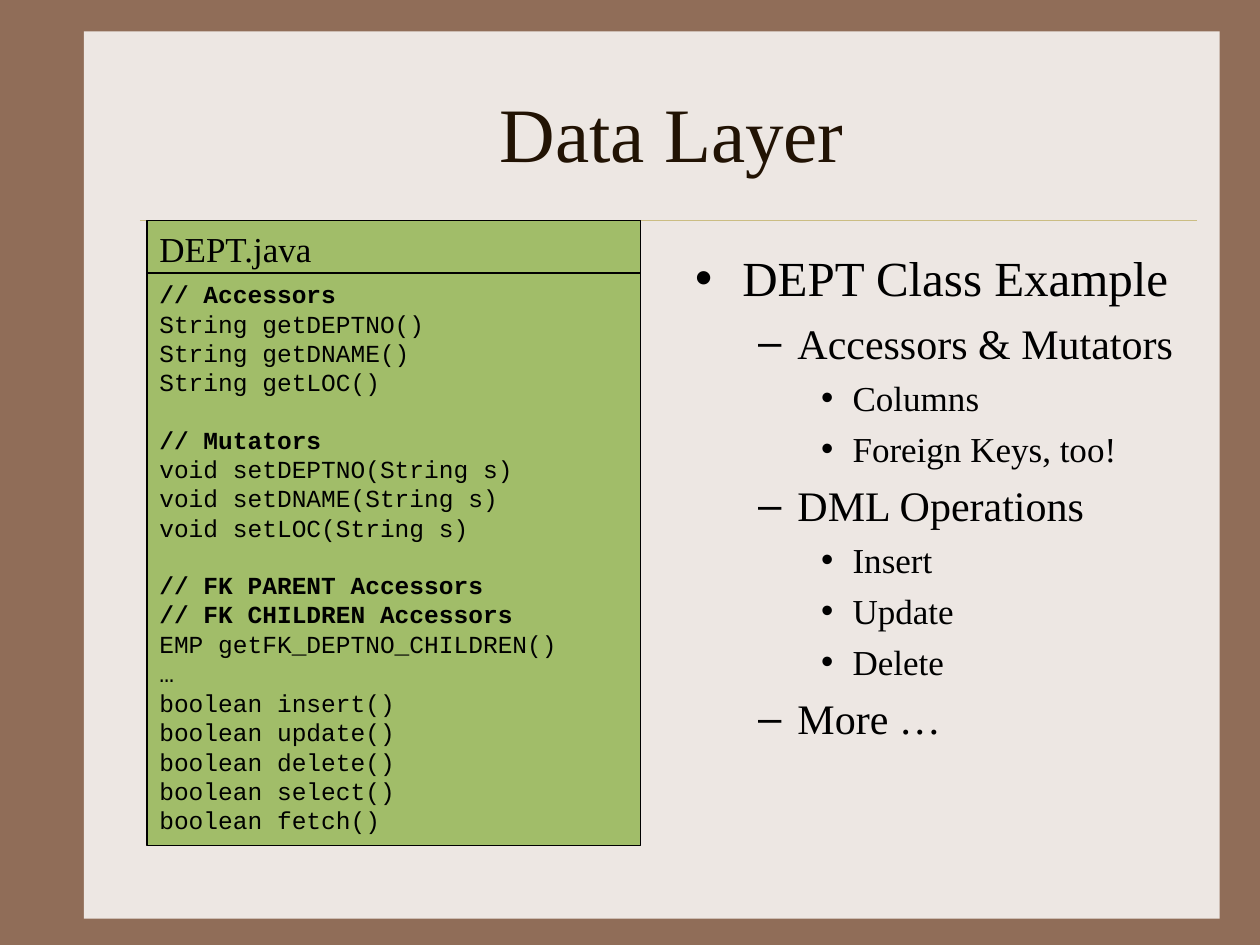
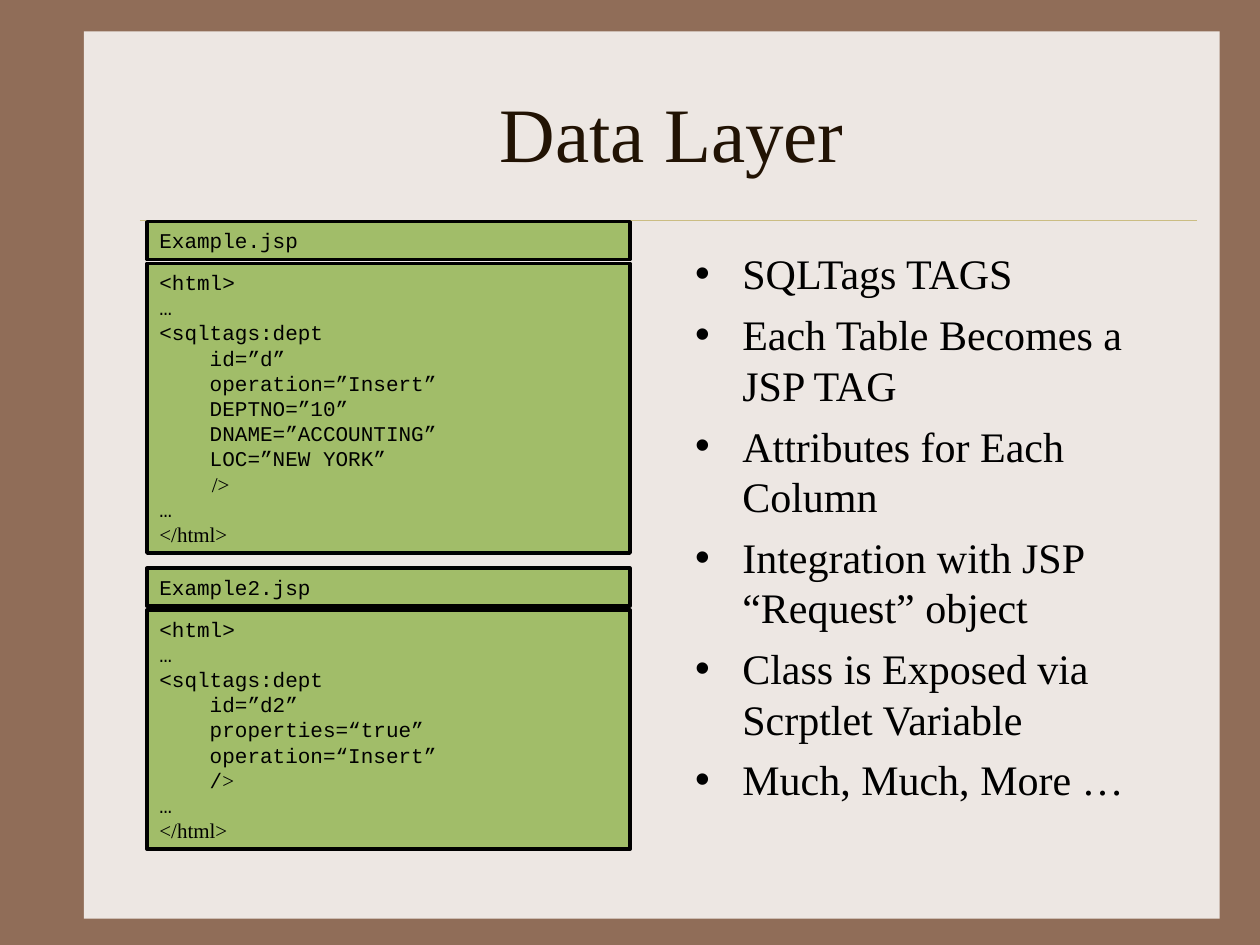
from lxml import etree
from pptx import Presentation
from pptx.dml.color import RGBColor
from pptx.enum import shapes, text
from pptx.oxml.ns import qn
from pptx.util import Pt

FRAME, PANEL, RULE = "906D58", "EDE7E3", "CBBD83"
TITLE_INK, INK, CODE_FILL = "221304", "000000", "A1BD69"
SERIF, MONO = "Times New Roman", "Courier New"
CODE_LEFT = 84
MONO_LINE = 1.133  # line height of the code font, in ems

# Per outline level: bullet, left margin, hanging indent
LEVELS = [("•", 27, 27), ("–", 58.5, 22.5), ("•", 90, 18)]

# In code, a blank line opens a gap, and text after "|" is set in the serif font.
DEPT_CODE = """// Accessors
String getDEPTNO()
String getDNAME()
String getLOC()

// Mutators
void setDEPTNO(String s)
void setDNAME(String s)
void setLOC(String s)

// FK PARENT Accessors
// FK CHILDREN Accessors
EMP getFK_DEPTNO_CHILDREN()
…
boolean insert()
boolean update()
boolean delete()
boolean select()
boolean fetch()"""

INSERT_TAG = """<html>
…
<sqltags:dept
    id=”d”
    operation=”Insert”
    DEPTNO=”10”
    DNAME=”ACCOUNTING”
    LOC=”NEW YORK”
|          />
…
|</html>"""

PROPERTIES_TAG = """<html>
…
<sqltags:dept
    id=”d2”
    properties=“true”
    operation=“Insert”
    /|>
…
|</html>"""

DEPT_POINTS = [
    (0, "DEPT Class Example"),
    (1, "Accessors & Mutators"),
    (2, "Columns"),
    (2, "Foreign Keys, too!"),
    (1, "DML Operations"),
    (2, "Insert"),
    (2, "Update"),
    (2, "Delete"),
    (1, "More …"),
]

TAG_POINTS = [(0, point) for point in (
    "SQLTags TAGS",
    "Each Table Becomes a JSP TAG",
    "Attributes for Each Column",
    "Integration with JSP “Request” object",
    "Class is Exposed via Scrptlet Variable",
    "Much, Much, More …",
)]


def rgb(hex_code):
    return RGBColor.from_string(hex_code)


def set_font(font, name, size, color=INK):
    font.name, font.size = name, Pt(size)
    font.color.rgb = rgb(color)


def place(shape, left, top, width, height):
    shape.left, shape.top = Pt(left), Pt(top)
    shape.width, shape.height = Pt(width), Pt(height)


def add_box(slide, kind, left, top, width, height, fill, line_width=None):
    box = slide.shapes.add_shape(kind, Pt(left), Pt(top), Pt(width), Pt(height))
    box.shadow.inherit = False
    box.fill.solid()
    box.fill.fore_color.rgb = rgb(fill)
    if line_width is None:
        box.line.fill.background()
    else:
        box.line.color.rgb = rgb(INK)
        box.line.width = Pt(line_width)
    return box


def add_shared_frame(layout, slide):
    """Draw the panel and the title rule, then move them to the layout."""
    layout.background.fill.solid()
    layout.background.fill.fore_color.rgb = rgb(FRAME)
    panel = add_box(slide, shapes.MSO_SHAPE.RECTANGLE, 48, 18, 649, 507, PANEL)
    rule = slide.shapes.add_connector(
        shapes.MSO_CONNECTOR.STRAIGHT, Pt(80), Pt(126), Pt(684), Pt(126))
    rule.line.color.rgb = rgb(RULE)
    rule.line.width = Pt(0.25)
    etree.SubElement(rule._element.spPr, qn("a:effectLst"))
    for order, part in enumerate((panel, rule)):
        part._element.xpath(".//p:cNvPr")[0].set("id", str(50 + order))
        layout.shapes._spTree.insert(2 + order, part._element)


def fill_title(slide, wording):
    title = slide.shapes.title
    place(title, 84, 30, 600, 90)
    frame = title.text_frame
    frame.text = wording
    frame.auto_size = text.MSO_AUTO_SIZE.NONE
    frame.vertical_anchor = text.MSO_ANCHOR.MIDDLE
    heading = frame.paragraphs[0]
    heading.alignment = text.PP_ALIGN.CENTER
    set_font(heading.font, SERIF, 44, TITLE_INK)


def set_bullet(paragraph, level):
    mark, margin, hanging = LEVELS[level]
    paragraph.level = level
    props = paragraph._p.get_or_add_pPr()
    props.set("marL", str(Pt(margin)))
    props.set("indent", str(-Pt(hanging)))
    color = etree.SubElement(props, qn("a:buClr"))
    etree.SubElement(color, qn("a:srgbClr"), val=INK)
    etree.SubElement(props, qn("a:buChar"), char=mark)


def fill_points(slide, points, sizes):
    """Fill the body with (level, wording) points; sizes go by level."""
    body = slide.placeholders[1]
    place(body, 390, 138, 294, 324)
    frame = body.text_frame
    frame.auto_size = text.MSO_AUTO_SIZE.NONE
    frame.text = "\n".join(wording for _, wording in points)
    for i, (level, _) in enumerate(points):
        paragraph = frame.paragraphs[i]
        set_bullet(paragraph, level)
        paragraph.space_before = Pt(sizes[level] // 4 if i else 0)
        set_font(paragraph.font, SERIF, sizes[level])


def write_code(box, code, size, anchor, font=MONO):
    frame = box.text_frame
    frame.word_wrap = True
    frame.vertical_anchor = anchor
    gap = 0
    paragraph = frame.paragraphs[0]
    for i, line in enumerate(code.split("\n")):
        if not line:
            gap += round(size * MONO_LINE, 2)
            continue
        if i:
            paragraph = frame.add_paragraph()
        paragraph.alignment = text.PP_ALIGN.LEFT
        paragraph.space_before = Pt(gap)
        gap = 0
        set_font(paragraph.font, font, size)
        paragraph.font.bold = line.startswith("//")
        plain, _, serif = line.partition("|")
        if plain:
            paragraph.add_run().text = plain
        if serif:
            ending = paragraph.add_run()
            ending.text = serif
            ending.font.name = SERIF


def add_listing(slide, kind, width, line_width, header, body):
    """Add a file-name box over a code box.

    header is (top, height, wording, size, font);
    body is (top, height, code, size, anchor).
    """
    top, height, wording, size, font = header
    name_box = add_box(slide, kind, CODE_LEFT, top, width, height, CODE_FILL, line_width)
    write_code(name_box, wording, size, text.MSO_ANCHOR.MIDDLE, font)
    top, height, code, size, anchor = body
    code_box = add_box(slide, kind, CODE_LEFT, top, width, height, CODE_FILL, line_width)
    write_code(code_box, code, size, anchor)


def add_jsp_listing(slide, top, height, name, code):
    add_listing(slide, shapes.MSO_SHAPE.RECTANGLE, 276, 2,
                (top, 21.6, name, 12, MONO),
                (top + 23.8, height, code, 12, text.MSO_ANCHOR.MIDDLE))


def add_content_slide(deck, points, sizes):
    slide = deck.slides.add_slide(deck.slide_layouts[1])
    fill_title(slide, "Data Layer")
    fill_points(slide, points, sizes)
    return slide


def main():
    deck = Presentation()
    deck.slide_width, deck.slide_height = Pt(720), Pt(540)

    dept = add_content_slide(deck, DEPT_POINTS, (28, 24, 20))
    add_shared_frame(deck.slide_layouts[1], dept)
    add_listing(dept, shapes.MSO_SHAPE.FLOWCHART_PROCESS, 282, 0.75,
                (126, 31.5, "DEPT.java", 20, SERIF),
                (156, 327, DEPT_CODE, 14, text.MSO_ANCHOR.TOP))

    tags = add_content_slide(deck, TAG_POINTS, (24,))
    add_jsp_listing(tags, 126.7, 165.6, "Example.jsp", INSERT_TAG)
    add_jsp_listing(tags, 324.7, 136.8, "Example2.jsp", PROPERTIES_TAG)

    deck.save("out.pptx")


if __name__ == "__main__":
    main()
